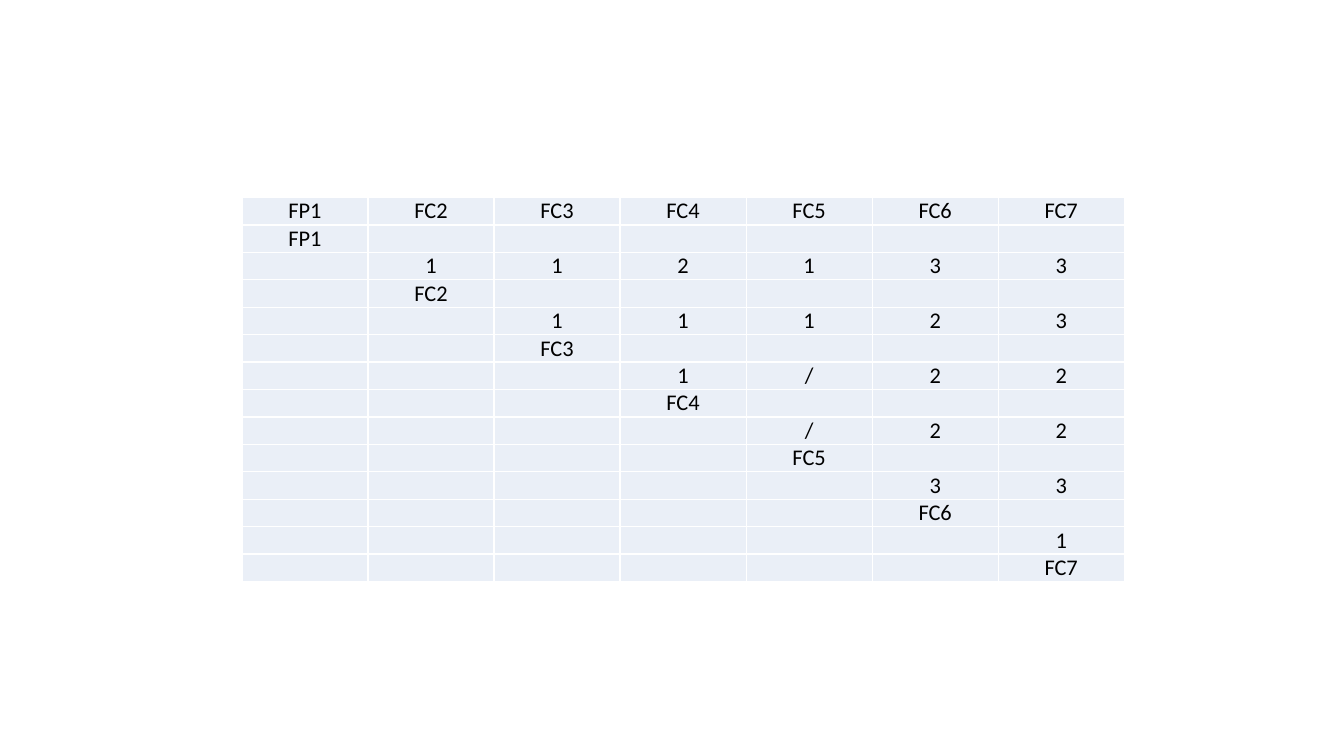
from lxml.etree import SubElement
from pptx import Presentation
from pptx.dml.color import RGBColor
from pptx.enum.text import MSO_ANCHOR, PP_ALIGN
from pptx.oxml import parse_xml
from pptx.oxml.ns import nsdecls, qn
from pptx.util import Inches, Pt

PALE_BLUE = RGBColor(0xEA, 0xEF, 0xF7)
WHITE = RGBColor(0xFF, 0xFF, 0xFF)
BLACK = RGBColor(0x00, 0x00, 0x00)

FONT_SIZE = 16
CELL_FORMAT = {
    "margin_left": 0, "margin_right": 0, "margin_top": 0, "margin_bottom": 0,
    "vertical_anchor": MSO_ANCHOR.BOTTOM,
}
FONT_FORMAT = {"name": "Calibri", "size": Pt(FONT_SIZE)}

FUNCTIONS = ["FP1", "FC2", "FC3", "FC4", "FC5", "FC6", "FC7"]
# Each function's scores against the functions after it
SCORES = ["112133", "11123", "1/22", "/22", "33", "1"]


def set_format(target, values):
    for name, value in values.items():
        setattr(target, name, value)


def comparison_rows():
    """Header, then each function on the diagonal with its scores below it."""
    count = len(FUNCTIONS)
    rows = [FUNCTIONS]
    for index, name in enumerate(FUNCTIONS):
        rows.append([name if column == index else "" for column in range(count)])
        if index < len(SCORES):
            rows.append([""] * (index + 1) + list(SCORES[index]))
    return rows


def add_borders(cell):
    properties = cell._tc.get_or_add_tcPr()
    for position, side in enumerate(("lnL", "lnR", "lnT", "lnB")):
        border = parse_xml(
            f'<a:{side} {nsdecls("a")} w="{Pt(1)}"><a:solidFill>'
            f'<a:srgbClr val="{WHITE}"/></a:solidFill></a:{side}>')
        properties.insert(position, border)


def fill_cell(cell, text):
    set_format(cell, CELL_FORMAT)
    cell.fill.solid()
    cell.fill.fore_color.rgb = PALE_BLUE
    add_borders(cell)
    paragraph = cell.text_frame.paragraphs[0]
    paragraph.alignment = PP_ALIGN.CENTER
    if text:
        run = paragraph.add_run()
        run.text = text
        set_format(run.font, FONT_FORMAT)
        run.font.color.rgb = BLACK
    else:
        # Keep empty cells as low as the filled ones
        SubElement(paragraph._p, qn("a:endParaRPr"), sz=str(FONT_SIZE * 100))


def add_comparison_table(slide, left, top, width, height):
    rows = comparison_rows()
    frame = slide.shapes.add_table(
        len(rows), len(FUNCTIONS),
        Inches(left), Inches(top), Inches(width), Inches(height))
    table = frame.table
    set_format(table, {"first_row": False, "horz_banding": False})
    for row_index, row in enumerate(rows):
        for column_index, text in enumerate(row):
            fill_cell(table.cell(row_index, column_index), text)


presentation = Presentation()
set_format(presentation, {"slide_width": Inches(13.33), "slide_height": Inches(7.5)})
slide = presentation.slides.add_slide(presentation.slide_layouts[6])
add_comparison_table(slide, 2.4, 1.96, 8.75, 3.73)
presentation.save("out.pptx")
